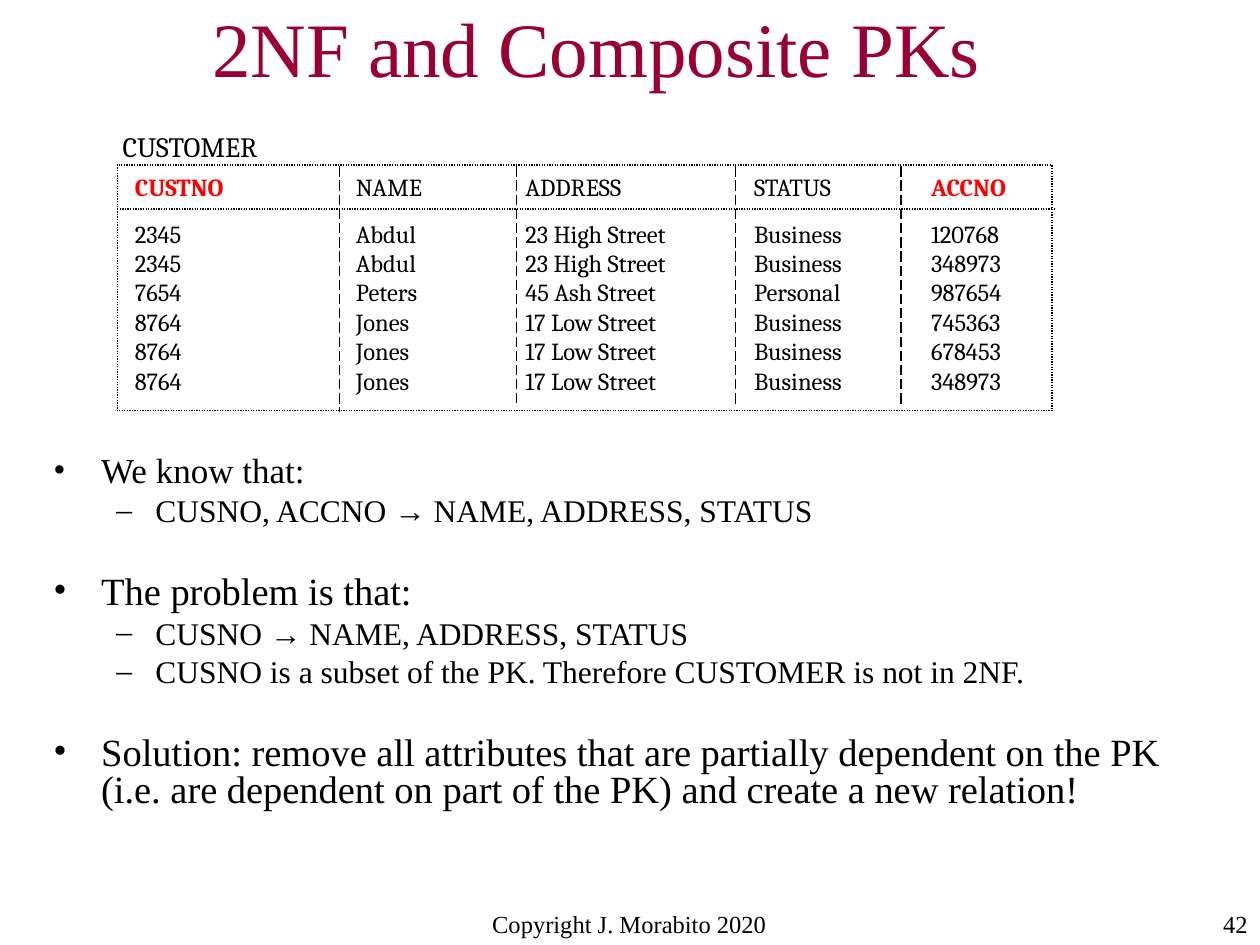
from dataclasses import dataclass

from pptx import Presentation
from pptx.dml.color import RGBColor
from pptx.enum.dml import MSO_LINE as Dash
from pptx.enum.shapes import MSO_CONNECTOR as Connector, MSO_SHAPE as Shape
from pptx.enum.text import MSO_ANCHOR as Anchor, PP_ALIGN as Align
from pptx.oxml.xmlchemy import OxmlElement as Element
from pptx.util import Emu, Inches, Pt

COLUMN_EDGES = [9.3, 26.95, 41, 58.4, 71.5, 83.5]
RULE_ENDS = [32.7, 32, 32.1, 32.2]
TEXT_STARTS = [10.7, 28.25, 41.7, 59.85, 73.9]
ROW_HEIGHTS = [3.6, 3.15] + [2.35] * 4 + [3.35]
TABLE_TOP, HEADER_BOTTOM = 13.1, 16.6
CUSTOMERS = [
    ["CUSTNO", "NAME", "ADDRESS", "STATUS", "ACCNO"],
    ["2345", "Abdul", "23 High Street", "Business", "120768"],
    ["2345", "Abdul", "23 High Street", "Business", "348973"],
    ["7654", "Peters", "45 Ash Street", "Personal", "987654"],
    ["8764", "Jones", "17 Low Street", "Business", "745363"],
    ["8764", "Jones", "17 Low Street", "Business", "678453"],
    ["8764", "Jones", "17 Low Street", "Business", "348973"],
]
KEYS = {"CUSTNO", "ACCNO"}
POINTS = [
    (0, 20, 0, "We know that:"),
    (1, 18, 4.5, "CUSNO, ACCNO → NAME, ADDRESS, STATUS"),
    (0, 22, 27.2, "The problem is that:"),
    (1, 18, 4.5, "CUSNO → NAME, ADDRESS, STATUS"),
    (1, 18, 4.5, "CUSNO is a subset of the PK. Therefore CUSTOMER is not in 2NF."),
    (0, 22, 27.2, "Solution: remove all attributes that are partially dependent on "
                  "the PK (i.e. are dependent on part of the PK) and create a new relation!"),
]
LEVELS = [("•", 0.38, -0.38), ("–", 0.81, -0.31)]


def color(value):
    """Turn a hex string into a colour."""
    return RGBColor.from_string(value)


def write(para, text, *, size, font="Times New Roman", fill="000000", bold=False):
    """Add one formatted span to a paragraph."""
    span = para.add_run()
    span.text = text
    span.font.size = Pt(size)
    span.font.name = font
    span.font.bold = bold
    span.font.color.rgb = color(fill)


def add_bullet(para, level):
    """Give a paragraph the bullet and indent of its level."""
    mark, margin, indent = LEVELS[level]
    para.level = level
    props = para._p.get_or_add_pPr()
    props.set("marL", str(Inches(margin)))
    props.set("indent", str(Inches(indent)))
    for tag, name, value in (("a:buFont", "typeface", "Times New Roman"),
                             ("a:buChar", "char", mark)):
        part = Element(tag)
        part.set(name, value)
        props.append(part)


@dataclass
class Slide:
    """Hold the page and place elements on a grid of 100 columns by 75 rows."""

    deck: object
    page: object
    ink: str = "000000"
    weight: float = 0.75

    def across(self, columns):
        """Convert grid columns to a length."""
        return Emu(round(self.deck.slide_width * columns / 100))

    def down(self, rows):
        """Convert grid rows to a length."""
        return Emu(round(self.deck.slide_height * rows / 75))

    def area(self, left, top, width, height):
        """Convert a grid area to lengths."""
        return self.across(left), self.down(top), self.across(width), self.down(height)

    def frame(self, *place, anchor=Anchor.TOP):
        """Add an empty wrapping text frame."""
        frame = self.page.shapes.add_textbox(*self.area(*place)).text_frame
        frame.word_wrap = True
        frame.vertical_anchor = anchor
        return frame

    def label(self, text, *place, align=Align.LEFT, anchor=Anchor.TOP, **style):
        """Add a single line of text."""
        para = self.frame(*place, anchor=anchor).paragraphs[0]
        para.alignment = align
        write(para, text, **style)

    def bullets(self, points, *place):
        """Add a list of points, with arrows set in Arial."""
        frame = self.frame(*place)
        for number, (level, size, before, text) in enumerate(points):
            para = frame.add_paragraph() if number else frame.paragraphs[0]
            para.line_spacing = 0.8
            para.space_before = Pt(before)
            add_bullet(para, level)
            start, arrow, end = text.partition("→")
            write(para, start, size=size)
            if arrow:
                write(para, arrow, size=size, font="Arial")
                write(para, end, size=size)

    def stroke(self, line, dash):
        """Style a line with the ink, weight and a dash."""
        line.color.rgb = color(self.ink)
        line.width = Pt(self.weight)
        line.dash_style = dash

    def outline(self, *place, dash):
        """Add an unfilled rectangle."""
        box = self.page.shapes.add_shape(Shape.RECTANGLE, *self.area(*place))
        box.shadow.inherit = False
        box.fill.background()
        self.stroke(box.line, dash)

    def rule(self, *ends, dash):
        """Add a straight line between two grid points."""
        line = self.page.shapes.add_connector(Connector.STRAIGHT, *self.area(*ends))
        line._element.spPr.append(Element("a:effectLst"))
        self.stroke(line.line, dash)

    def relation(self, records, edges, starts, heights, top):
        """Add an unruled table of records below its header."""
        graphic = self.page.shapes.add_table(
            len(records), len(starts),
            *self.area(edges[0], top, edges[-1] - edges[0], sum(heights)))
        table = graphic.table
        table.first_row = table.horz_banding = False
        graphic._element.find(".//{*}tableStyleId").text = (
            "{2D5ABB26-0587-4C30-8999-92F81FD0307C}")
        for column, left, right in zip(table.columns, edges, edges[1:]):
            column.width = self.across(right - left)
        for row, height in zip(table.rows, heights):
            row.height = self.down(height)
        for y, record in enumerate(records):
            for x, text in enumerate(record):
                cell = table.cell(y, x)
                cell.fill.background()
                cell.margin_left = self.across(starts[x] - edges[x])
                cell.margin_right = cell.margin_bottom = 0
                cell.margin_top = 0 if y else self.down(0.1)
                cell.vertical_anchor = (
                    Anchor.MIDDLE if y == 0 else Anchor.BOTTOM if y == 1 else Anchor.TOP)
                key = text in KEYS
                write(cell.text_frame.paragraphs[0], text, size=14, font="Cambria",
                      fill="FF0000" if key else "000000", bold=key)


def main():
    """Build the slide and save it."""
    deck = Presentation()
    deck.slide_width, deck.slide_height = Inches(10), Inches(7.5)
    slide = Slide(deck, deck.slides.add_slide(deck.slide_layouts[6]))
    slide.label("2NF and Composite PKs", 15.85, 0.8, 84.15, 5.8,
                anchor=Anchor.MIDDLE, size=44, fill="990033")
    slide.label("Copyright J. Morabito 2020", 34.1, 71.65, 31.7, 2.5,
                align=Align.CENTER, size=14)
    slide.label("42", 85.8, 71.65, 14.2, 3.3, align=Align.RIGHT, size=14)
    slide.bullets(POINTS, 3.25, 35.75, 90, 49.5)
    slide.label("CUSTOMER", 8.75, 9.75, 13.8, 3.7, size=16, font="Cambria")
    slide.outline(COLUMN_EDGES[0], TABLE_TOP, 74.2, 19.5, dash=Dash.ROUND_DOT)
    slide.relation(CUSTOMERS, COLUMN_EDGES, TEXT_STARTS, ROW_HEIGHTS, TABLE_TOP)
    for edge, end in zip(COLUMN_EDGES[1:], RULE_ENDS):
        slide.rule(edge, 13.2, edge, end, dash=Dash.LONG_DASH)
    slide.rule(COLUMN_EDGES[0], HEADER_BOTTOM, 83.8, HEADER_BOTTOM, dash=Dash.ROUND_DOT)
    deck.save("out.pptx")


if __name__ == "__main__":
    main()
